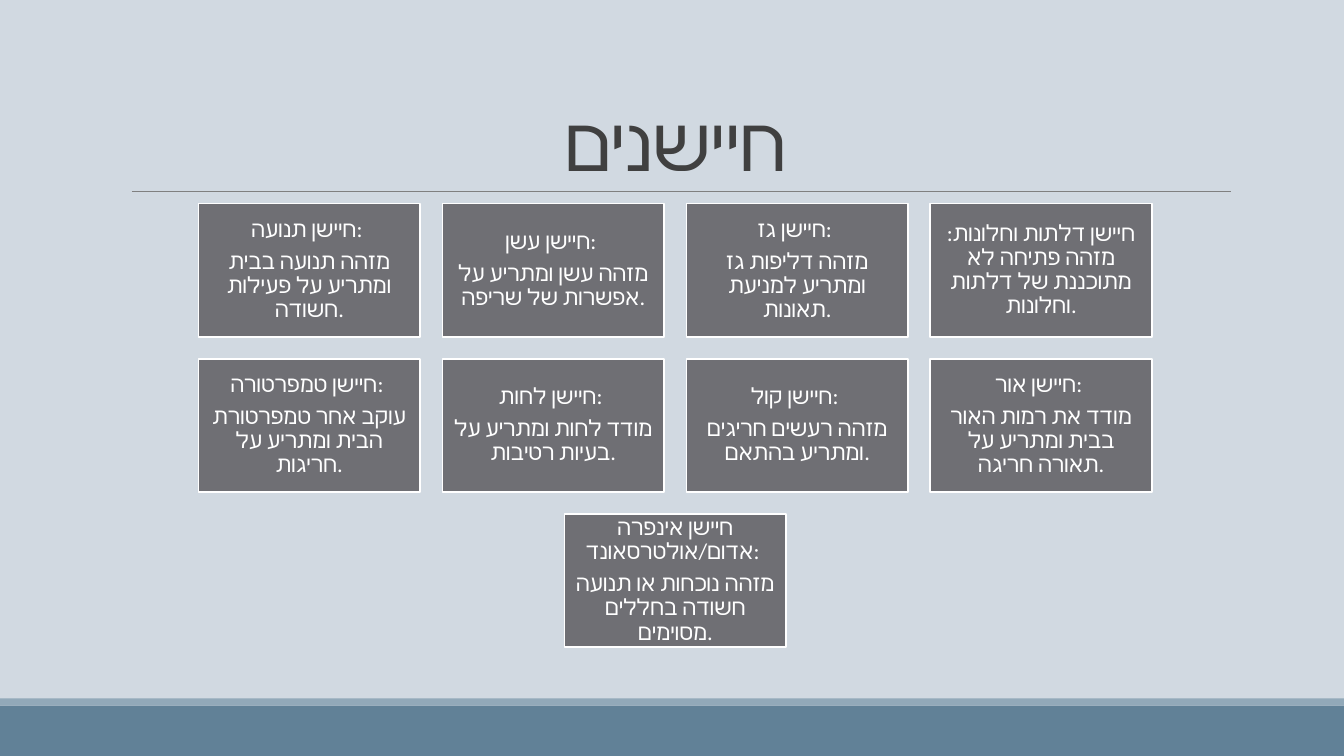
from lxml.etree import SubElement
from pptx import Presentation
from pptx.dml.color import RGBColor
from pptx.enum.shapes import MSO_CONNECTOR, MSO_SHAPE
from pptx.enum.text import MSO_ANCHOR as Anchor, MSO_AUTO_SIZE as AutoSize, PP_ALIGN as Align
from pptx.oxml.ns import qn
from pptx.util import Pt

FONT = "Calibri"
SLIDE_WIDTH, SLIDE_HEIGHT = 960, 540
CENTER = 482.4
CARD_WIDTH, CARD_HEIGHT = 158.4, 95.04
PITCH_X, PITCH_Y = 174.24, 110.88
CARDS_TOP = 145.44

SENSOR_ROWS = [
    [
        ["חיישן תנועה: ", "מזהה תנועה בבית ומתריע על פעילות חשודה."],
        ["חיישן עשן: ", "מזהה עשן ומתריע על אפשרות של שריפה."],
        ["חיישן גז: ", "מזהה דליפות גז ומתריע למניעת תאונות."],
        ["חיישן דלתות וחלונות: מזהה פתיחה לא מתוכננת של דלתות וחלונות."],
    ],
    [
        ["חיישן טמפרטורה: ", "עוקב אחר טמפרטורת הבית ומתריע על חריגות."],
        ["חיישן לחות: ", "מודד לחות ומתריע על בעיות רטיבות."],
        ["חיישן קול: ", "מזהה רעשים חריגים ומתריע בהתאם."],
        ["חיישן אור: ", "מודד את רמות האור בבית ומתריע על תאורה חריגה."],
    ],
    [
        ["חיישן אינפרה אדום/אולטרסאונד: ", "מזהה נוכחות או תנועה חשודה בחללים מסוימים."],
    ],
]

TITLE_FRAME = {"vertical_anchor": Anchor.BOTTOM, "auto_size": AutoSize.NONE, "word_wrap": True}
TITLE_PARAGRAPH = {"alignment": Align.CENTER, "line_spacing": 0.85}
CARD_FRAME = {
    "vertical_anchor": Anchor.MIDDLE,
    "word_wrap": True,
    "margin_left": Pt(5),
    "margin_right": Pt(5),
    "margin_top": Pt(5),
    "margin_bottom": Pt(5),
}
CARD_PARAGRAPH = {"alignment": Align.CENTER, "line_spacing": 0.9, "space_after": Pt(5.6)}


def color(value):
    """Return the colour for a hex string."""
    return RGBColor.from_string(value)


def apply_format(target, values):
    """Set each attribute in values on target."""
    for name, value in values.items():
        setattr(target, name, value)


def add_run(paragraph, text, size, text_color):
    """Add a run with the slide font for Latin and Hebrew and return it."""
    run = paragraph.add_run()
    run.text = text
    apply_format(run.font, {"name": FONT, "size": Pt(size)})
    run.font.color.rgb = color(text_color)
    SubElement(run.font._element, qn("a:cs"), typeface=FONT)
    return run


def add_box(slide, left, top, width, height, fill):
    """Add a plain filled rectangle without outline."""
    shape = slide.shapes.add_shape(
        MSO_SHAPE.RECTANGLE, Pt(left), Pt(top), Pt(width), Pt(height)
    )
    shape.shadow.inherit = False
    shape.fill.solid()
    shape.fill.fore_color.rgb = color(fill)
    shape.line.fill.background()
    return shape


def add_rule(slide, left, right, top):
    """Add the thin horizontal line under the title."""
    rule = slide.shapes.add_connector(
        MSO_CONNECTOR.STRAIGHT, Pt(left), Pt(top), Pt(right), Pt(top)
    )
    rule.line.color.rgb = color("808080")
    rule.line.width = Pt(0.5)
    SubElement(rule._element.spPr, qn("a:effectLst"))


def set_title(slide, text):
    """Place and format the right-to-left title."""
    title = slide.shapes.title
    apply_format(
        title, {"left": Pt(86.4), "top": Pt(22.32), "width": Pt(792), "height": Pt(114.48)}
    )
    apply_format(title.text_frame, TITLE_FRAME)
    paragraph = title.text_frame.paragraphs[0]
    apply_format(paragraph, TITLE_PARAGRAPH)
    paragraph._p.get_or_add_pPr().set("rtl", "1")
    run = add_run(paragraph, text, 54, "404040")
    run.font._element.set("spc", "-50")


def add_card(slide, left, top, lines):
    """Add one sensor card with a paragraph for each line."""
    card = add_box(slide, left, top, CARD_WIDTH, CARD_HEIGHT, "6F6F74")
    card.line.color.rgb = color("FFFFFF")
    card.line.width = Pt(1.25)
    frame = card.text_frame
    apply_format(frame, CARD_FRAME)
    for index, text in enumerate(lines):
        paragraph = frame.add_paragraph() if index else frame.paragraphs[0]
        apply_format(paragraph, CARD_PARAGRAPH)
        add_run(paragraph, text, 16, "FFFFFF")


def add_card_row(slide, top, sensors):
    """Add a row of cards centred on the slide content."""
    row_width = (len(sensors) - 1) * PITCH_X + CARD_WIDTH
    for column, lines in enumerate(sensors):
        add_card(slide, CENTER - row_width / 2 + column * PITCH_X, top, lines)


def main():
    """Build and save the sensors slide."""
    presentation = Presentation()
    apply_format(
        presentation, {"slide_width": Pt(SLIDE_WIDTH), "slide_height": Pt(SLIDE_HEIGHT)}
    )
    slide = presentation.slides.add_slide(presentation.slide_layouts[5])
    slide.background.fill.solid()
    slide.background.fill.fore_color.rgb = color("D1D9E1")
    add_box(slide, 0, 504, SLIDE_WIDTH, 36, "618197")
    add_box(slide, 0, 498.8, SLIDE_WIDTH, 5.2, "92A9B9")
    add_rule(slide, 94.3, 879.1, 136.8)
    set_title(slide, "חיישנים")
    for row, sensors in enumerate(SENSOR_ROWS):
        add_card_row(slide, CARDS_TOP + row * PITCH_Y, sensors)
    presentation.save("out.pptx")


if __name__ == "__main__":
    main()
